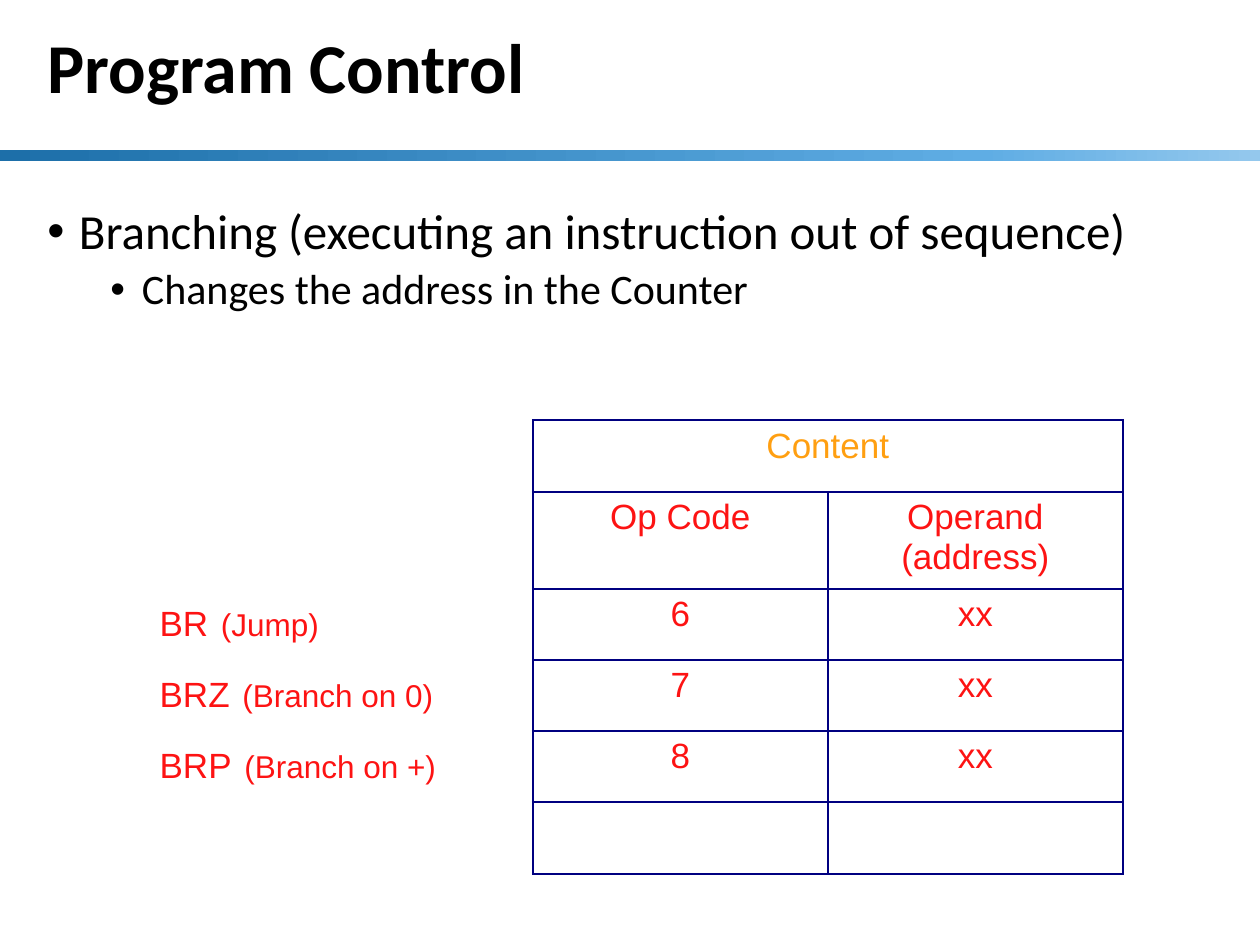
import copy

import pptx
import pptx.dml.color
import pptx.enum.shapes
import pptx.enum.text
import pptx.oxml
import pptx.oxml.ns
import pptx.util

RGBColor = pptx.dml.color.RGBColor
BLACK = RGBColor(0x00, 0x00, 0x00)
NAVY = RGBColor(0x00, 0x00, 0x80)
RED = RGBColor(0xFD, 0x13, 0x13)
ORANGE = RGBColor(0xFF, 0x9F, 0x11)
BAR_STOPS = [
    (0, RGBColor(0x1D, 0x6F, 0xA9)),
    (0.78, RGBColor(0x5F, 0xAD, 0xE4)),
    (1, RGBColor(0x94, 0xC8, 0xED)),
]

EMU_PER_PX = 914400 / 126
COLUMN_WIDTHS = [336, 50, 295, 295]
ROW_HEIGHTS = [72, 97, 71, 71, 71, 72]
FIRST_CONTENT_COLUMN = 2
BRANCHES = [("BR", "(Jump)", "6"), ("BRZ", "(Branch on 0)", "7"), ("BRP", "(Branch on +)", "8")]


def px(length):
    return pptx.util.Emu(round(length * EMU_PER_PX))


def box(left, top, width, height):
    return [px(length) for length in (left, top, width, height)]


def set_font(font, name, size, color, bold=False):
    font.name = name
    font.size = pptx.util.Pt(size)
    font.color.rgb = color
    font.bold = bold


def add_bar(slide):
    bar = slide.shapes.add_shape(pptx.enum.shapes.MSO_SHAPE.RECTANGLE, *box(0, 150, 1260, 11))
    bar.shadow.inherit = False
    bar.line.fill.background()
    bar.fill.gradient()
    bar.fill.gradient_angle = 0
    stop_list = next(bar._element.iter(pptx.oxml.ns.qn("a:gsLst")))
    stop_list.append(copy.deepcopy(stop_list[-1]))
    for stop, (position, color) in zip(bar.fill.gradient_stops, BAR_STOPS):
        stop.position = position
        stop.color.rgb = color


def set_title(slide, text):
    title = slide.shapes.title
    title.left, title.top, title.width, title.height = box(35, 0, 1178, 142)
    frame = title.text_frame
    frame.text = text
    frame.vertical_anchor = pptx.enum.text.MSO_ANCHOR.MIDDLE
    heading = frame.paragraphs[0]
    heading.alignment = pptx.enum.text.PP_ALIGN.LEFT
    heading.line_spacing = 0.9
    set_font(heading.font, "Calibri", 40, BLACK, bold=True)


def add_bullet(paragraph, text, size, space_before, indent):
    paragraph.text = text
    paragraph.line_spacing = 0.9
    paragraph.space_before = pptx.util.Pt(space_before)
    set_font(paragraph.font, "Calibri", size, BLACK)
    properties = paragraph._p.get_or_add_pPr()
    properties.set("marL", str(pptx.util.Inches(indent)))
    properties.set("indent", str(pptx.util.Inches(-0.25)))
    for tag, key, value in (("buFont", "typeface", "Arial"), ("buChar", "char", "•")):
        mark = pptx.oxml.parse_xml(f'<a:{tag} {pptx.oxml.ns.nsdecls("a")} {key}="{value}"/>')
        properties.insert_element_before(mark, "a:tabLst", "a:defRPr", "a:extLst")


def add_body(slide):
    frame = slide.shapes.add_textbox(*box(35, 169, 1178, 683)).text_frame
    frame.word_wrap = True
    frame.margin_top = px(38)
    add_bullet(frame.paragraphs[0], "Branching (executing an instruction out of sequence)", 28, 10, 0.25)
    add_bullet(frame.add_paragraph(), "Changes the address in the Counter", 24, 5, 0.75)
    frame.paragraphs[1].level = 1


def set_borders(cell, sides):
    properties = cell._tc.get_or_add_tcPr()
    for index, side in enumerate(sides):
        properties.insert(index, pptx.oxml.parse_xml(
            f'<a:ln{side} {pptx.oxml.ns.nsdecls("a")} w="{pptx.util.Pt(1.5)}">'
            f'<a:solidFill><a:srgbClr val="{NAVY}"/></a:solidFill></a:ln{side}>'))


def fill_content(cell, text, color=RED):
    cell.text = text
    paragraph = cell.text_frame.paragraphs[0]
    paragraph.alignment = pptx.enum.text.PP_ALIGN.CENTER
    set_font(paragraph.font, "Arial", 20, color)


def fill_label(cell, mnemonic, meaning):
    paragraph = cell.text_frame.paragraphs[0]
    for text, size in ((mnemonic, 20), (" ", 26), (meaning, 18)):
        run = paragraph.add_run()
        run.text = text
        set_font(run.font, "Arial", size, RED)


def add_instruction_table(slide):
    frame = slide.shapes.add_table(
        len(ROW_HEIGHTS), len(COLUMN_WIDTHS),
        *box(147, 420, sum(COLUMN_WIDTHS), sum(ROW_HEIGHTS)))
    table = frame.table
    table.first_row = table.horz_banding = False
    for column, width in zip(table.columns, COLUMN_WIDTHS):
        column.width = px(width)
    for row, height in zip(table.rows, ROW_HEIGHTS):
        row.height = px(height)
        for index, cell in enumerate(row.cells):
            cell.fill.background()
            if index >= FIRST_CONTENT_COLUMN:
                set_borders(cell, "LRTB")
            elif index == FIRST_CONTENT_COLUMN - 1:
                set_borders(cell, "R")

    # Headings
    table.cell(0, 2).merge(table.cell(0, 3))
    fill_content(table.cell(0, 2), "Content", ORANGE)
    fill_content(table.cell(1, 2), "Op Code")
    fill_content(table.cell(1, 3), "Operand\v(address)")

    # Branch instructions
    for row, (mnemonic, meaning, op_code) in enumerate(BRANCHES, start=2):
        fill_label(table.cell(row, 0), mnemonic, meaning)
        fill_content(table.cell(row, 2), op_code)
        fill_content(table.cell(row, 3), "xx")


def main():
    presentation = pptx.Presentation()
    presentation.slide_width, presentation.slide_height = px(1260), px(945)
    slide = presentation.slides.add_slide(presentation.slide_layouts[5])
    add_bar(slide)
    set_title(slide, "Program Control")
    add_body(slide)
    add_instruction_table(slide)
    presentation.save("out.pptx")


if __name__ == "__main__":
    main()
